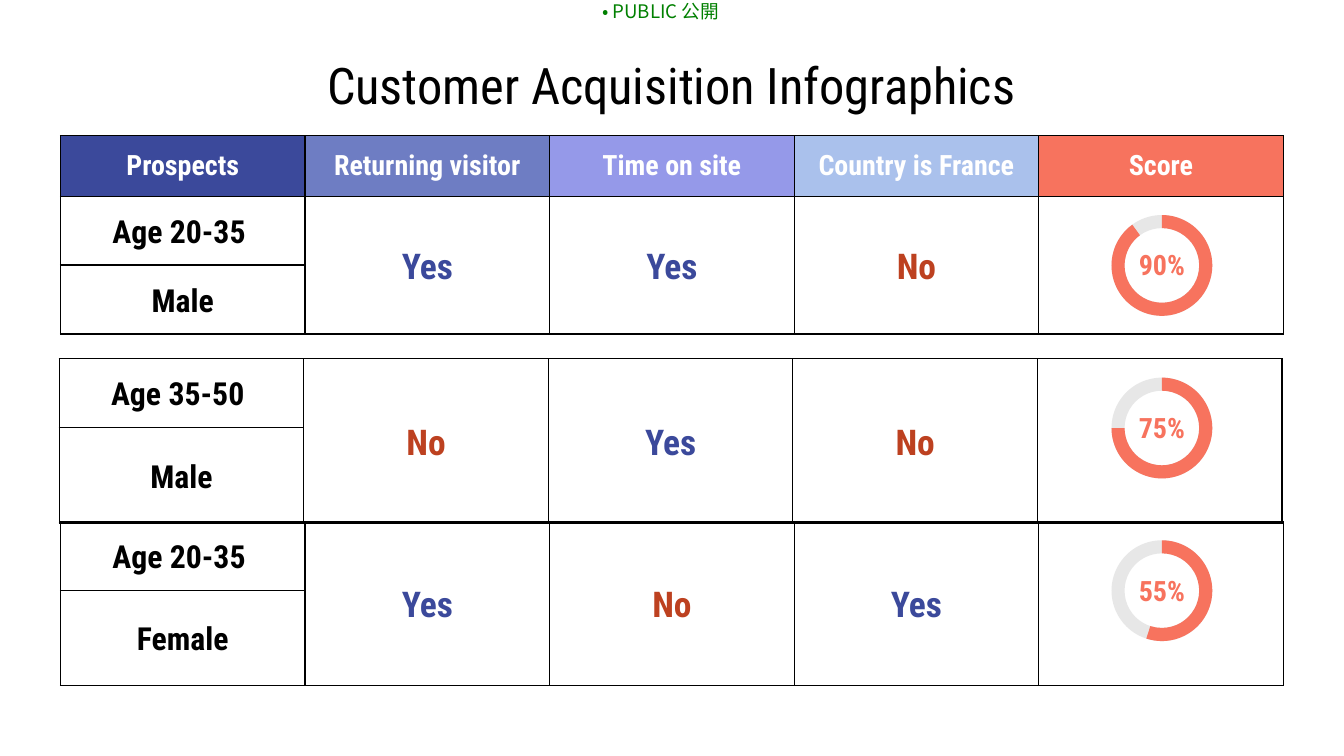
import pptx
import pptx.util
import pptx.dml.color
import pptx.enum.shapes
import pptx.enum.text
import pptx.oxml
import pptx.oxml.ns

Inches = pptx.util.Inches
Pt = pptx.util.Pt
RGBColor = pptx.dml.color.RGBColor
MSO_SHAPE = pptx.enum.shapes.MSO_SHAPE
PP_ALIGN = pptx.enum.text.PP_ALIGN
MSO_ANCHOR = pptx.enum.text.MSO_ANCHOR

BLACK = RGBColor(0x00, 0x00, 0x00)
WHITE = RGBColor(0xFF, 0xFF, 0xFF)
GREEN = RGBColor(0x00, 0x80, 0x00)
NAVY = RGBColor(0x3B, 0x49, 0x9B)
INDIGO = RGBColor(0x6E, 0x7D, 0xC3)
LAVENDER = RGBColor(0x95, 0x99, 0xE9)
SKY = RGBColor(0xAA, 0xC1, 0xEC)
CORAL = RGBColor(0xF7, 0x73, 0x5E)
RUST = RGBColor(0xBD, 0x41, 0x20)
GRAY = RGBColor(0xE7, 0xE7, 0xE7)

FONT = "Roboto Condensed"
CJK_FONT = "Noto Sans CJK JP"
HEADERS = [
    ("Prospects", NAVY),
    ("Returning visitor", INDIGO),
    ("Time on site", LAVENDER),
    ("Country is France", SKY),
    ("Score", CORAL),
]
ANSWER_COLORS = {"Yes": NAVY, "No": RUST}
HEADER_H, AGE_H = 0.45, 0.51
TABLE_W = 9.1
GAUGE_SIZE = 0.75
RING = 0.13


def write(tf, text, size, color, bold=True, font=FONT, spacing=None):
    p = tf.paragraphs[0]
    p.alignment = PP_ALIGN.CENTER
    if spacing:
        p.line_spacing = spacing
    r = p.add_run()
    r.text = text
    r.font.name = font
    r.font.size = Pt(size)
    r.font.bold = bold
    r.font.color.rgb = color
    if font == CJK_FONT:
        ea = pptx.oxml.parse_xml(
            f'<a:ea {pptx.oxml.ns.nsdecls("a")} typeface="{font}"/>')
        r.font._element.append(ea)


def add_label(shapes, x, y, w, h, text, size, color, bold=True, font=FONT,
              inset=0.1, anchor=MSO_ANCHOR.MIDDLE):
    s = shapes.add_textbox(Inches(x), Inches(y), Inches(w), Inches(h))
    tf = s.text_frame
    tf.word_wrap = True
    tf.vertical_anchor = anchor
    tf.margin_left = tf.margin_right = Inches(inset)
    tf.margin_top = tf.margin_bottom = Inches(inset)
    write(tf, text, size, color, bold, font)


def format_cell(cell):
    cell.vertical_anchor = MSO_ANCHOR.MIDDLE
    cell.margin_left = cell.margin_right = Inches(0.15)
    cell.margin_top = cell.margin_bottom = Inches(0.1)
    tcPr = cell._tc.get_or_add_tcPr()
    for side in ("lnL", "lnR", "lnT", "lnB"):
        tcPr.append(pptx.oxml.parse_xml(
            f'<a:{side} {pptx.oxml.ns.nsdecls("a")} w="{Pt(0.75)}">'
            f'<a:solidFill><a:srgbClr val="{BLACK}"/></a:solidFill></a:{side}>'))
    cell.fill.background()


def add_gauge(shapes, x, y, percent):
    group = shapes.add_group_shape()
    size = Inches(GAUGE_SIZE)
    for shape_type, color in ((MSO_SHAPE.DONUT, GRAY), (MSO_SHAPE.BLOCK_ARC, CORAL)):
        s = group.shapes.add_shape(shape_type, Inches(x), Inches(y), size, size)
        s.shadow.inherit = False
        s.fill.solid()
        s.fill.fore_color.rgb = color
        s.line.fill.background()
        if shape_type == MSO_SHAPE.DONUT:
            s.adjustments[0] = RING
        else:
            end = (270 + 3.6 * percent) % 360
            s.adjustments[0] = 270 * 0.6
            s.adjustments[1] = end * 0.6
            s.adjustments[2] = RING
    add_label(group.shapes, x, y + 0.26, GAUGE_SIZE, 0.22, f"{percent}%", 15, CORAL)


def add_prospect(shapes, x, y, gender_h, age, gender, answers, header=False):
    heights = [HEADER_H] * header + [AGE_H, gender_h]
    table = shapes.add_table(len(heights), len(HEADERS), Inches(x), Inches(y),
                             Inches(TABLE_W), Inches(sum(heights))).table
    table.first_row = table.horz_banding = False
    for column in table.columns:
        column.width = Inches(TABLE_W / len(HEADERS))
    for row, height in zip(table.rows, heights):
        row.height = Inches(height)
    for cell in table.iter_cells():
        format_cell(cell)
    if header:
        for i, (title, color) in enumerate(HEADERS):
            cell = table.cell(0, i)
            cell.fill.solid()
            cell.fill.fore_color.rgb = color
            write(cell.text_frame, title, 15, WHITE)

    top = len(heights) - 2
    for i, text in enumerate((age, gender)):
        write(table.cell(top + i, 0).text_frame, text, 17, BLACK, spacing=1.1)
    for col in range(1, len(HEADERS)):
        table.cell(top, col).merge(table.cell(top + 1, col))
    for col, answer in enumerate(answers, 1):
        write(table.cell(top, col).text_frame, answer, 19,
              ANSWER_COLORS[answer], spacing=1.1)


def main():
    prs = pptx.Presentation()
    prs.slide_width = Inches(10)
    prs.slide_height = prs.slide_width * 9 // 16
    shapes = prs.slides.add_slide(prs.slide_layouts[6]).shapes

    add_label(shapes, 4.47, 0, 0.89, 0.17, "• PUBLIC 公開", 10, GREEN, False,
              CJK_FONT, 0, MSO_ANCHOR.TOP)

    add_prospect(shapes, 0.45, 1.01, 0.51, "Age 20-35 ", "Male",
                 ("Yes", "Yes", "No"), header=True)
    add_prospect(shapes, 0.44, 2.67, 0.71, "Age 35-50 ", "Male",
                 ("No", "Yes", "No"))
    add_prospect(shapes, 0.45, 3.88, 0.71, "Age 20-35 ", "Female",
                 ("Yes", "No", "Yes"))

    add_label(shapes, 0.49, 0.45, 9.01, 0.36, "Customer Acquisition Infographics",
              27, BLACK, False)

    for i, percent in enumerate((90, 75, 55)):
        add_gauge(shapes, 8.27, 1.6 + 1.21 * i, percent)

    prs.save("out.pptx")


if __name__ == "__main__":
    main()
